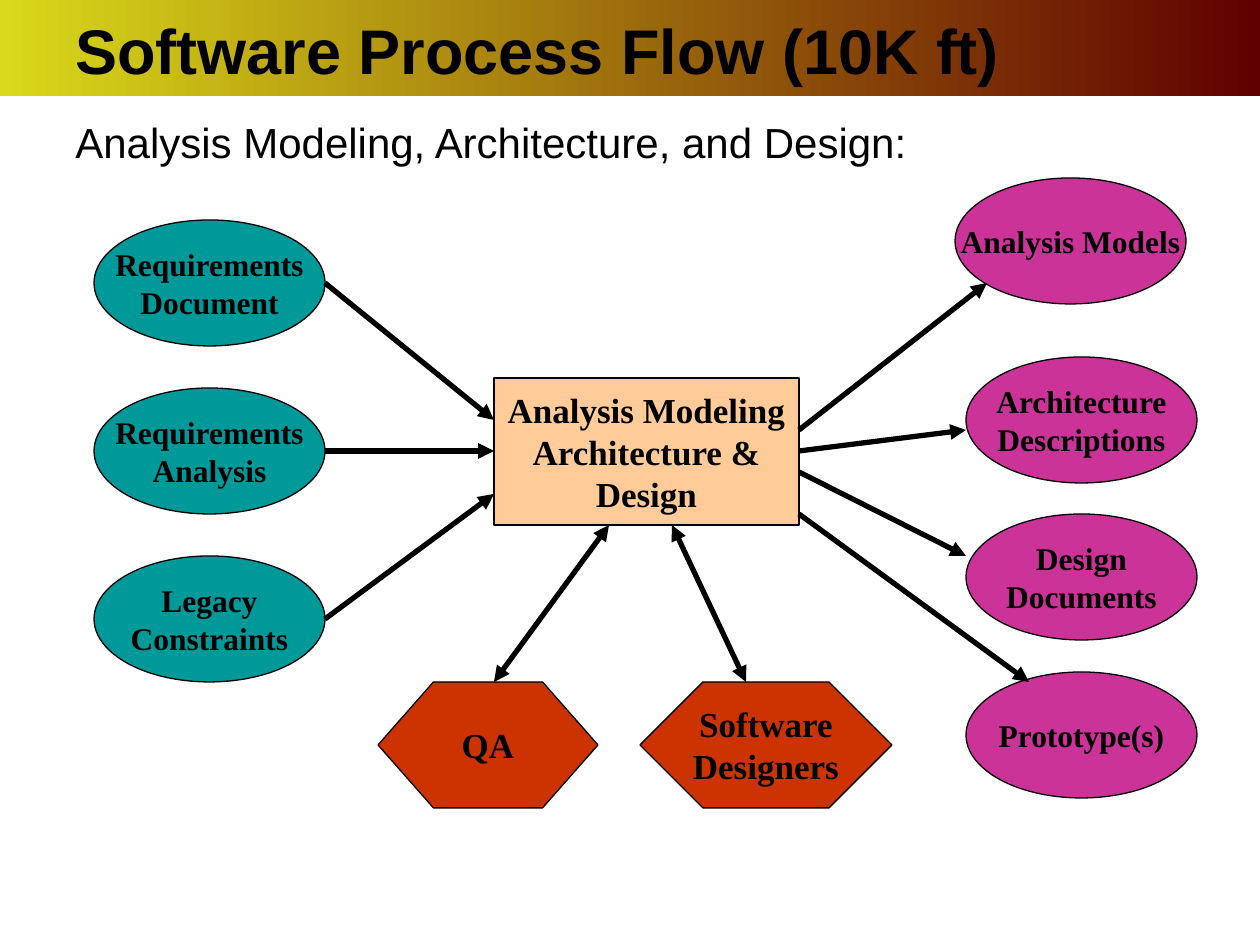
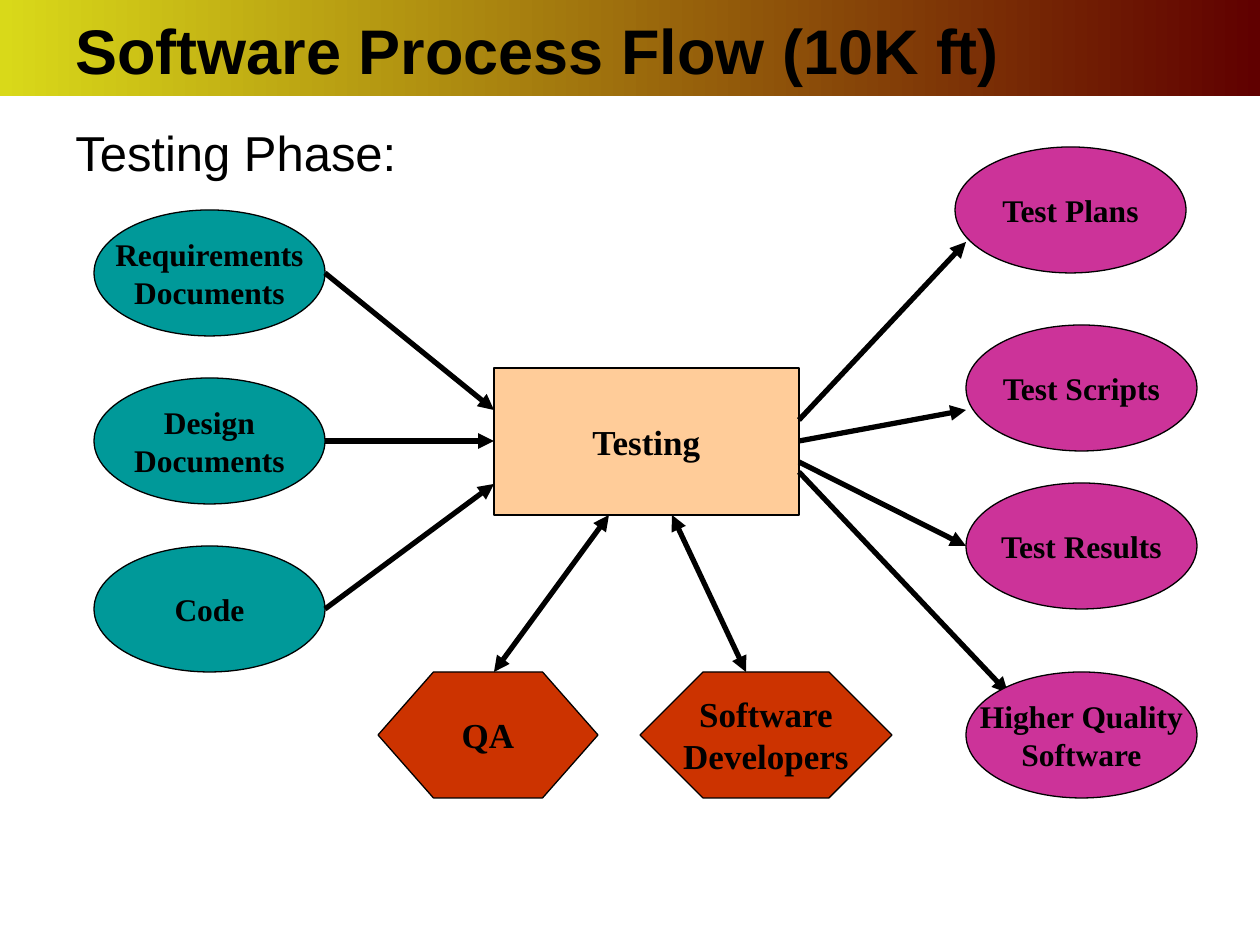
from lxml import etree
from pptx import Presentation, util as u
from pptx.dml.color import RGBColor
from pptx.enum import shapes as kinds, text
from pptx.oxml.ns import qn

# Content: a flow diagram per slide; tops, starts and tips are in pixels
TITLE = "Software Process Flow (10K ft)"
FLOWS = [
    {
        "subtitle": "Analysis Modeling, Architecture, and Design:",
        "subtitle_style": {"height": 97, "size": 24, "before": 6, "spacing": 0.9},
        "process_top": 378,
        "process": "Analysis Modeling\nArchitecture &\nDesign",
        "inputs": ["Requirements\nDocument", "Requirements\nAnalysis", "Legacy\nConstraints"],
        "people": ["QA", "Software\nDesigners"],
        # label, left, top, arrow start below process top, arrow tip
        "outputs": [
            ("Analysis Models", 955, 178, 52, (987, 283)),
            ("Architecture\nDescriptions", 966, 357, 73, (966, 430)),
            ("Design\nDocuments", 966, 514, 94, (966, 556)),
            ("Prototype(s)", 966, 672, 136, (1029, 682)),
        ],
        "arrows_on_top": True,
    },
    {
        "subtitle": "Testing Phase:",
        "subtitle_style": {"height": 76, "size": 28, "before": 7, "spacing": 1.0},
        "process_top": 368,
        "process": "Testing",
        "inputs": ["Requirements\nDocuments", "Design\nDocuments", "Code"],
        "people": ["QA", "Software\nDevelopers"],
        "outputs": [
            ("Test Plans", 955, 147, 52, (966, 242)),
            ("Test Scripts", 966, 325, 73, (966, 410)),
            ("Test Results", 966, 483, 94, (966, 546)),
            ("Higher Quality\nSoftware", 966, 672, 104, (1008, 693)),
        ],
        "arrows_on_top": False,
    },
]

# Shared look and layout
BLACK = "000000"
BAND_COLOURS = ("D9D919", "600000")
SHAPE = kinds.MSO_SHAPE
STYLES = {
    "process": {"kind": SHAPE.RECTANGLE, "fill": "FFCC99", "size": 20},
    "input": {"kind": SHAPE.OVAL, "fill": "009999", "size": 18},
    "output": {"kind": SHAPE.OVAL, "fill": "CC3399", "size": 18},
    "person": {"kind": SHAPE.HEXAGON, "fill": "CC3300", "size": 20},
}
PROCESS_LEFT, PROCESS_WIDTH, PROCESS_HEIGHT = 494, 305, 147
PROCESS_RIGHT = PROCESS_LEFT + PROCESS_WIDTH
OVAL_WIDTH, OVAL_HEIGHT = 231, 126
INPUT_LEFT, INPUT_RISE, INPUT_STEP = 94, 158, 168
INPUT_TIPS = (42, 73, 116)      # below process top
PEOPLE_DROP = 304               # below process top
# left, width, hexagon corner, arrow x at the person, arrow x at the process
PEOPLE_PLACES = [(378, 220, 0.44, 494, 609), (640, 252, 0.5, 746, 672)]


def px(length):
    return u.Emu(round(length * 914400 / 126))


def colour(value):
    return RGBColor.from_string(value)


def set_all(target, values):
    for name, value in values.items():
        setattr(target, name, value)


def place(shape, left, top, width, height):
    box = {"left": left, "top": top, "width": width, "height": height}
    set_all(shape, {name: px(value) for name, value in box.items()})


def write(shape, words, size, font, bold, wrap, anchor, paragraph_format):
    frame = shape.text_frame
    frame.text = words
    set_all(frame, {"word_wrap": wrap, "vertical_anchor": anchor,
                    "auto_size": text.MSO_AUTO_SIZE.NONE})
    for paragraph in frame.paragraphs:
        set_all(paragraph, paragraph_format)
        for run in paragraph.runs:
            set_all(run.font, {"size": u.Pt(size), "name": font, "bold": bold})
            run.font.color.rgb = colour(BLACK)


def add_node(slide, style_name, words, left, top, width, height):
    style = STYLES[style_name]
    shape = slide.shapes.add_shape(style["kind"], *map(px, (left, top, width, height)))
    shape.shadow.inherit = False
    shape.fill.solid()
    shape.fill.fore_color.rgb = colour(style["fill"])
    shape.line.color.rgb = colour(BLACK)
    shape.line.width = u.Pt(0.74)
    write(shape, words, style["size"], "Times New Roman", True, False,
          text.MSO_ANCHOR.MIDDLE, {"alignment": text.PP_ALIGN.CENTER})
    return shape


def add_arrow(slide, start, end, ends=("tailEnd",)):
    arrow = slide.shapes.add_connector(kinds.MSO_CONNECTOR.STRAIGHT, *map(px, (*start, *end)))
    arrow.line.color.rgb = colour(BLACK)
    arrow.line.width = u.Pt(3)
    properties = arrow._element.spPr
    line = properties.find(qn("a:ln"))
    for end_name in ends:
        etree.SubElement(line, qn("a:" + end_name), type="triangle")
    etree.SubElement(properties, qn("a:effectLst"))


def add_master_band(presentation, slide):
    """Draw the gradient band, then move it behind everything on the master."""
    band = slide.shapes.add_shape(SHAPE.RECTANGLE, 0, 0, presentation.slide_width, px(96))
    band.shadow.inherit = False
    band.line.fill.background()
    band.fill.gradient()
    band.fill.gradient_angle = 0
    for stop, value in zip(band.fill.gradient_stops, BAND_COLOURS):
        stop.color.rgb = colour(value)
    band._element.nvSpPr.cNvPr.set("id", "20")
    presentation.slide_master.shapes._spTree.insert(2, band._element)


def add_headings(slide, flow):
    title = slide.shapes.title
    place(title, 63, 0, 1134, 98)
    write(title, TITLE, 36, "Arial", True, True, text.MSO_ANCHOR.MIDDLE,
          {"alignment": text.PP_ALIGN.LEFT})
    style = flow["subtitle_style"]
    subtitle = slide.shapes.add_textbox(*map(px, (63, 116, 1134, style["height"])))
    write(subtitle, flow["subtitle"], style["size"], "Arial", False, True,
          text.MSO_ANCHOR.TOP,
          {"space_before": u.Pt(style["before"]), "line_spacing": style["spacing"]})


def add_inputs(slide, flow):
    for index, (words, tip) in enumerate(zip(flow["inputs"], INPUT_TIPS)):
        top = flow["process_top"] - INPUT_RISE + index * INPUT_STEP
        add_node(slide, "input", words, INPUT_LEFT, top, OVAL_WIDTH, OVAL_HEIGHT)
        add_arrow(slide, (INPUT_LEFT + OVAL_WIDTH, top + OVAL_HEIGHT / 2),
                  (PROCESS_LEFT, flow["process_top"] + tip))


def add_output_arrows(slide, flow):
    for _, _, _, drop, tip in flow["outputs"]:
        add_arrow(slide, (PROCESS_RIGHT, flow["process_top"] + drop), tip)


def add_output_nodes(slide, flow):
    for words, left, top, _, _ in flow["outputs"]:
        add_node(slide, "output", words, left, top, OVAL_WIDTH, OVAL_HEIGHT)


def add_people(slide, flow):
    top = flow["process_top"] + PEOPLE_DROP
    process_bottom = flow["process_top"] + PROCESS_HEIGHT
    for words, (left, width, corner, person_x, process_x) in zip(flow["people"], PEOPLE_PLACES):
        hexagon = add_node(slide, "person", words, left, top, width, OVAL_HEIGHT)
        hexagon.adjustments[0] = corner
        add_arrow(slide, (person_x, top), (process_x, process_bottom), ("headEnd", "tailEnd"))


presentation = Presentation()
presentation.slide_width, presentation.slide_height = px(1260), px(945)

for number, flow in enumerate(FLOWS):
    slide = presentation.slides.add_slide(presentation.slide_layouts[5])
    if number == 0:
        add_master_band(presentation, slide)
    add_headings(slide, flow)
    add_node(slide, "process", flow["process"], PROCESS_LEFT, flow["process_top"],
             PROCESS_WIDTH, PROCESS_HEIGHT)
    add_inputs(slide, flow)
    output_steps = [add_output_arrows, add_output_nodes]
    if flow["arrows_on_top"]:
        output_steps.reverse()
    for step in output_steps:
        step(slide, flow)
    add_people(slide, flow)

presentation.save("out.pptx")
